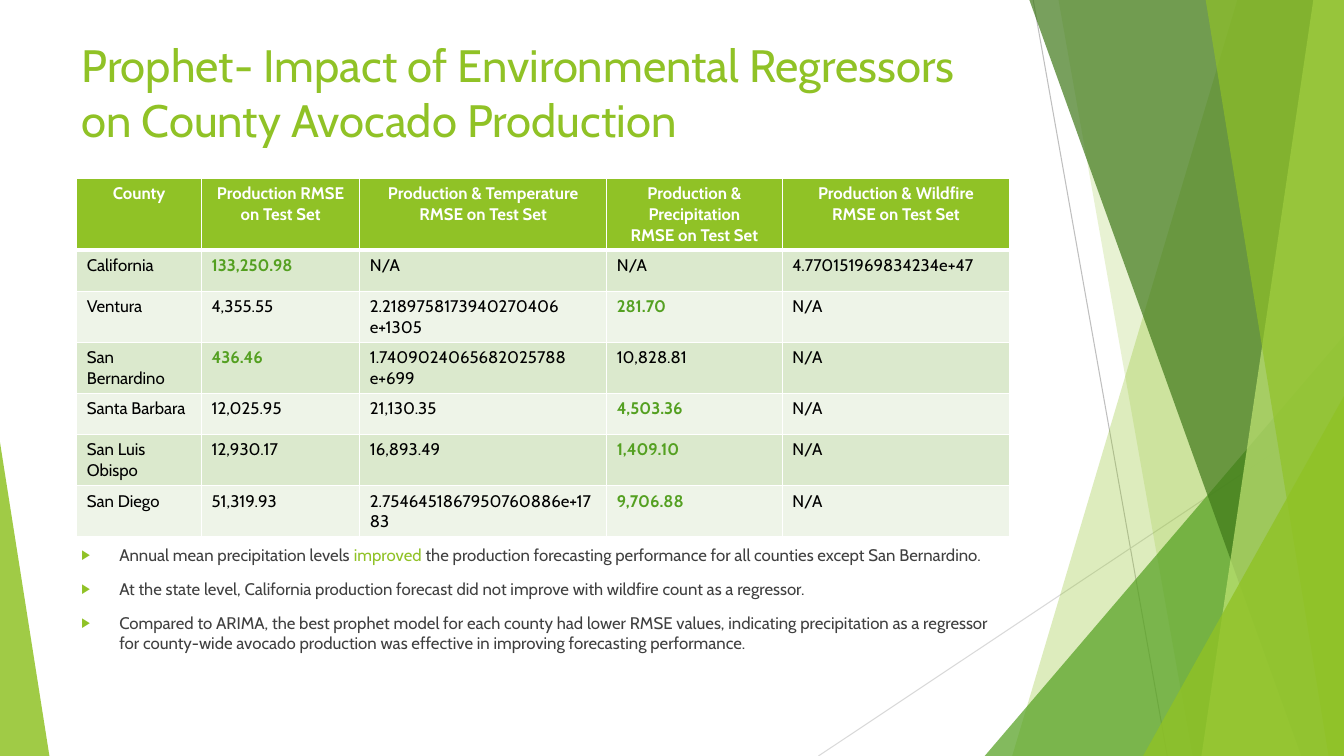
from lxml import etree
from pptx import Presentation
from pptx.dml.color import RGBColor
from pptx.enum.shapes import MSO_CONNECTOR, MSO_SHAPE
from pptx.enum.text import MSO_ANCHOR, MSO_AUTO_SIZE, PP_ALIGN
from pptx.oxml.ns import qn
from pptx.util import Pt

LINE = MSO_CONNECTOR.STRAIGHT
TRI = MSO_SHAPE.ISOSCELES_TRIANGLE
TOP = MSO_ANCHOR.TOP
FIXED = MSO_AUTO_SIZE.NONE
LEFT, MID = PP_ALIGN.LEFT, PP_ALIGN.CENTER

WIDE, HIGH = 960, 540
LIME, GREEN, WHITE, BLACK, GREY = "90C226", "54A021", "FFFFFF", "000000", "404040"
BANDS = ("DBE9CD", "EEF4E8")


def color(code):
    return RGBColor.from_string(code)


def apply(item, values):
    for name, value in values.items():
        setattr(item, name, value)


def add_sub(parent, tag, **attrs):
    node = etree.SubElement(parent, qn(tag))
    for name, value in attrs.items():
        node.set(name, str(value))
    return node


class Deck:
    font = "Cabin"

    def __init__(self):
        self.prs = Presentation()
        apply(self.prs, {"slide_width": Pt(WIDE), "slide_height": Pt(HIGH)})
        self.slide = self.prs.slides.add_slide(self.prs.slide_layouts[1])
        self.shapes = self.slide.shapes

    def line(self, x1, y1, x2, y2, code):
        line = self.shapes.add_connector(LINE, Pt(x1), Pt(y1), Pt(x2), Pt(y2))
        line.line.color.rgb = color(code)
        line.line.width = Pt(0.75)
        add_sub(line.element.spPr, "a:effectLst")

    def paint(self, shape, code, alpha):
        shape.shadow.inherit = False
        shape.fill.solid()
        shape.fill.fore_color.rgb = color(code)
        shape.line.fill.background()
        tint = shape.element.spPr.find(".//" + qn("a:srgbClr"))
        add_sub(tint, "a:alpha", val=alpha * 1000)

    def facet(self, top, base, code, alpha):
        """Four-sided panel that runs to the right edge of the slide."""
        form = self.shapes.build_freeform(Pt(top), Pt(-0.6))
        form.add_line_segments([(Pt(WIDE), Pt(-0.6)), (Pt(WIDE), Pt(HIGH)),
                                (Pt(base), Pt(HIGH))])
        self.paint(form.convert_to_shape(), code, alpha)

    def wedge(self, x, y, width, apex, code, alpha):
        """Right triangle that stands on the bottom edge."""
        shape = self.shapes.add_shape(TRI, Pt(x), Pt(y), Pt(width), Pt(HIGH - y))
        shape.adjustments[0] = apex
        self.paint(shape, code, alpha)

    def run(self, para, text, size, code, bold=False):
        run = para.add_run()
        run.text = text
        apply(run.font, {"name": self.font, "size": Pt(size), "bold": bold})
        run.font.color.rgb = color(code)

    def holder(self, index, x, y, width, height):
        """Place a placeholder above the shapes drawn so far."""
        box = self.slide.placeholders[index]
        apply(box, {"left": Pt(x), "top": Pt(y), "width": Pt(width), "height": Pt(height)})
        self.shapes.element.append(box.element)
        frame = box.text_frame
        apply(frame, {"word_wrap": True, "auto_size": FIXED, "vertical_anchor": TOP})
        return frame

    def title(self, text, *place):
        para = self.holder(0, *place).paragraphs[0]
        para.alignment = LEFT
        self.run(para, text, 32.4, LIME)

    def bullets(self, items, *place):
        frame = self.holder(1, *place)
        for i, parts in enumerate(items):
            para = frame.add_paragraph() if i else frame.paragraphs[0]
            props = para._p.get_or_add_pPr()
            props.set("marL", str(Pt(27)))
            props.set("indent", str(Pt(-27)))
            add_sub(add_sub(props, "a:buClr"), "a:srgbClr", val=LIME)
            add_sub(props, "a:buSzPct", val=80000)
            add_sub(props, "a:buChar", char="▶")
            apply(para, {"alignment": LEFT, "space_before": Pt(10 if i else 0)})
            for text, code in parts:
                self.run(para, text, 12, code)

    def cell(self, cell, text, fill, code, bold, align, edges):
        props = cell._tc.get_or_add_tcPr()
        for side, width in edges.items():
            edge = add_sub(props, "a:ln" + side, w=Pt(width))
            add_sub(add_sub(edge, "a:solidFill"), "a:srgbClr", val=WHITE)
        cell.fill.solid()
        cell.fill.fore_color.rgb = color(fill)
        for i, part in enumerate(text.split("\n")):
            frame = cell.text_frame
            para = frame.add_paragraph() if i else frame.paragraphs[0]
            para.alignment = align
            self.run(para, part, 12, code, bold)

    def table(self, x, y, cols, rows, head, body):
        table = self.shapes.add_table(len(rows), len(cols), Pt(x), Pt(y),
                                      Pt(sum(cols)), Pt(sum(rows))).table
        for col, width in zip(table.columns, cols):
            col.width = Pt(width)
        for row, height in zip(table.rows, rows):
            row.height = Pt(height)
        for c, text in enumerate(head):
            self.cell(table.cell(0, c), text, LIME, WHITE, True, MID,
                      {"L": 1, "R": 1, "T": 1, "B": 3})
        for r, (best, *texts) in enumerate(body, 1):
            edges = {"L": 1, "R": 1, "T": 3 if r == 1 else 1, "B": 1}
            for c, text in enumerate(texts):
                win = c == best
                self.cell(table.cell(r, c), text, BANDS[(r - 1) % 2],
                          GREEN if win else BLACK, win, LEFT, edges)


HEAD = ["County", "Production RMSE on Test Set",
        "Production & Temperature RMSE on Test Set",
        "Production & Precipitation\nRMSE on Test Set",
        "Production & Wildfire\nRMSE on Test Set"]
# Each row starts with the column of its best score
BODY = [
    (1, "California", "133,250.98", "N/A", "N/A", "4.770151969834234e+47"),
    (3, "Ventura", "4,355.55", "2.2189758173940270406 e+1305", "281.70", "N/A"),
    (1, "San Bernardino", "436.46", "1.7409024065682025788 e+699", "10,828.81", "N/A"),
    (3, "Santa Barbara", "12,025.95", "21,130.35", "4,503.36", "N/A"),
    (3, "San Luis Obispo", "12,930.17", "16,893.49", "1,409.10", "N/A"),
    (3, "San Diego", "51,319.93", "2.7546451867950760886e+1783", "9,706.88", "N/A"),
]
NOTES = [
    [("Annual mean precipitation levels ", GREY), ("improved ", LIME),
     ("the production forecasting performance for all counties except San Bernardino.", GREY)],
    [("At the state level, California production forecast did not improve with "
      "wildfire count as a regressor.", GREY)],
    [("Compared to ARIMA, the best prophet model for each county had lower RMSE values, "
      "indicating precipitation as a regressor for county-wide avocado production was "
      "effective in improving forecasting performance.", GREY)],
]


def main():
    deck = Deck()

    # Backdrop
    deck.line(738, 0, 833.8, HIGH, "BFBFBF")
    deck.line(WIDE, 290, 584.6, HIGH, "D9D9D9")
    deck.facet(884, 723, LIME, 30)
    deck.facet(756, 851.8, LIME, 20)
    deck.wedge(703.4, 239.8, 256.6, 1, GREEN, 72)
    deck.facet(735.1, 929.5, "3F7819", 70)
    deck.facet(938.2, 858.2, "C0E474", 70)
    deck.facet(861.1, 949, LIME, 65)
    deck.wedge(816.5, 283, 143.5, 1, LIME, 80)
    deck.wedge(0, 316, 35.3, 0, LIME, 85)

    # Content
    deck.title("Prophet- Impact of Environmental Regressors on County Avocado Production",
               51, 23, 672, 104)
    deck.table(54.8, 127.6, [89.2, 113, 176.4, 125.4, 162.6], [41] + [29.3] * 6, HEAD, BODY)
    deck.bullets(NOTES, 51, 385.2, 672.5, 140.4)

    deck.prs.save("out.pptx")


if __name__ == "__main__":
    main()
